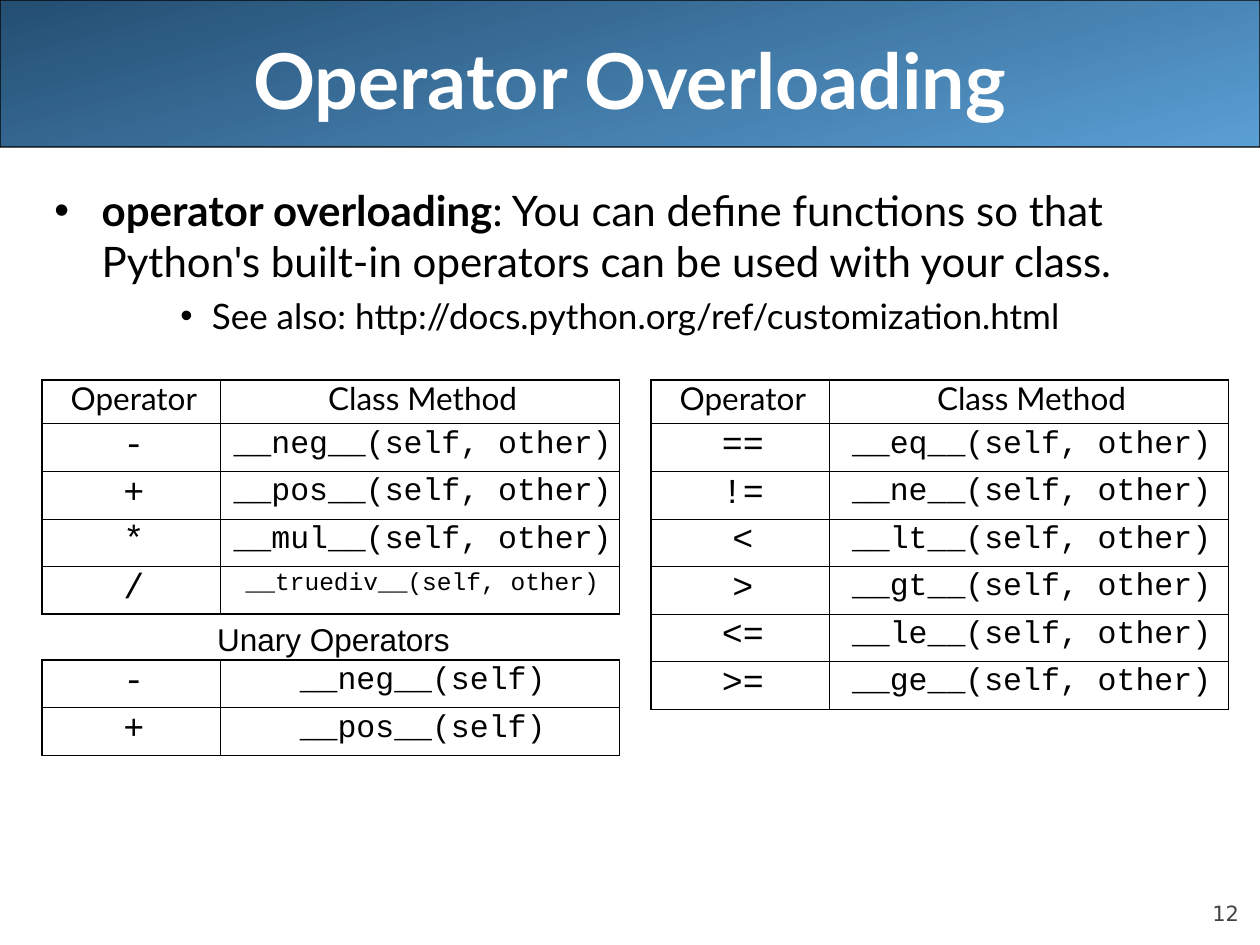
from lxml.etree import SubElement
from pptx import Presentation
from pptx.dml.color import RGBColor
from pptx.enum.shapes import MSO_SHAPE
from pptx.enum.text import MSO_ANCHOR, MSO_AUTO_SIZE, PP_ALIGN
from pptx.oxml.ns import qn
from pptx.util import Pt

BLACK = RGBColor(0x00, 0x00, 0x00)
WHITE = RGBColor(0xFF, 0xFF, 0xFF)
GREY = RGBColor(0x42, 0x42, 0x42)
NAVY = RGBColor(0x24, 0x4E, 0x72)
SKY = RGBColor(0x5A, 0x9F, 0xD4)
HEAVY, THIN = 1.08, 0.45


def write(paragraph, text, size=18, font="Lato", color=BLACK, bold=False, align=None, before=0):
    run = paragraph.add_run()
    run.text = text
    run.font.size = Pt(size)
    run.font.name = font
    run.font.bold = bold
    run.font.color.rgb = color
    paragraph.alignment = align
    paragraph.space_before = Pt(before)


def set_borders(cell, widths):
    """Draw black borders; widths run left, right, top, bottom."""
    properties = cell._tc.get_or_add_tcPr()
    for side, width in zip(("lnL", "lnR", "lnT", "lnB"), widths):
        line = SubElement(properties, qn(f"a:{side}"), w=str(Pt(width)))
        fill = SubElement(line, qn("a:solidFill"))
        SubElement(fill, qn("a:srgbClr"), val=str(BLACK))


prs = Presentation()
prs.slide_width, prs.slide_height = Pt(720), Pt(540)
slide = prs.slides.add_slide(prs.slide_layouts[5])

# Title on its gradient banner
title = slide.shapes.title
title.left, title.top, title.width, title.height = Pt(36), Pt(0), Pt(648), Pt(90)
title.text_frame.auto_size = MSO_AUTO_SIZE.NONE
title.text_frame.vertical_anchor = MSO_ANCHOR.MIDDLE
write(title.text_frame.paragraphs[0], "Operator Overloading", size=44, color=WHITE,
      bold=True, align=PP_ALIGN.CENTER)

banner = slide.shapes.add_shape(MSO_SHAPE.ROUNDED_RECTANGLE, Pt(0), Pt(0), Pt(720), Pt(84))
banner.adjustments[0] = 0.001
banner.shadow.inherit = False
banner.fill.gradient()
banner.fill.gradient_angle = 285
for stop, color in zip(banner.fill.gradient_stops, (NAVY, SKY)):
    stop.color.rgb = color
banner.line.color.rgb = BLACK
banner.line.width = Pt(0.75)
title.element.addprevious(banner.element)

# Definition and reference
body = slide.shapes.add_textbox(Pt(24), Pt(102), Pt(684), Pt(390)).text_frame
body.word_wrap = True
definition = body.paragraphs[0]
write(definition, "operator overloading", size=24, bold=True, before=6)
write(definition, ": You can define functions so that Python's built-in operators "
      "can be used with your class.", size=24, before=6)
reference = body.add_paragraph()
reference.level = 2
write(reference, "See also: http://docs.python.org/ref/customization.html", size=20, before=5)
for paragraph, margin, hanging in ((definition, 27, 27), (reference, 90, 18)):
    properties = paragraph._p.get_or_add_pPr()
    properties.set("marL", str(Pt(margin)))
    properties.set("indent", str(Pt(-hanging)))
    SubElement(properties, qn("a:buFont"), typeface="Arial")
    SubElement(properties, qn("a:buChar"), char="•")

# Operator tables: left, top, has heading row, bottom border, fill, rows
HEADING = ("Operator", "Class Method")
binary = [HEADING, ("-", "__neg__(self, other)"), ("+", "__pos__(self, other)"),
          ("*", "__mul__(self, other)"), ("/", "__truediv__(self, other)")]
unary = [("-", "__neg__(self)"), ("+", "__pos__(self)")]
comparison = [HEADING, ("==", "__eq__(self, other)"), ("!=", "__ne__(self, other)"),
              ("<", "__lt__(self, other)"), (">", "__gt__(self, other)"),
              ("<=", "__le__(self, other)"), (">=", "__ge__(self, other)")]

for left, top, bottom_width, fill, rows in (
    (24, 217, HEAVY, None, binary),
    (24, 377.3, THIN, WHITE, unary),
    (372, 217, THIN, None, comparison),
):
    heights = [25.2 if row == HEADING else 27.2 for row in rows]
    table = slide.shapes.add_table(len(rows), 2, Pt(left), Pt(top), Pt(330), Pt(sum(heights))).table
    table.first_row = table.horz_banding = False
    table.columns[0].width, table.columns[1].width = Pt(102), Pt(228)
    for r, row in enumerate(rows):
        table.rows[r].height = Pt(heights[r])
        for c, text in enumerate(row):
            cell = table.cell(r, c)
            cell.margin_left = cell.margin_right = Pt(4.5)
            cell.margin_top = cell.margin_bottom = Pt(3.6)
            set_borders(cell, (THIN if c else HEAVY, THIN, THIN if r else HEAVY,
                               bottom_width if r == len(rows) - 1 else THIN))
            if fill is None:
                cell.fill.background()
            else:
                cell.fill.solid()
                cell.fill.fore_color.rgb = fill
            paragraph = cell.text_frame.paragraphs[0]
            paragraph.line_spacing = 0.8
            paragraph._p.get_or_add_pPr().set("marL", str(Pt(3)))
            if row == HEADING:
                size, font = 18, "Lato"
            else:
                size, font = 20 if c == 0 else 14 if len(text) > 20 else 18, "Courier New"
            write(paragraph, text, size=size, font=font, align=PP_ALIGN.CENTER)

unary_caption = slide.shapes.add_textbox(Pt(116.6), Pt(350.6), Pt(147.6), Pt(29)).text_frame
unary_caption.word_wrap = False
unary_caption.auto_size = MSO_AUTO_SIZE.SHAPE_TO_FIT_TEXT
write(unary_caption.paragraphs[0], "Unary Operators", font="Arial", align=PP_ALIGN.RIGHT)

# Slide number
page_number = slide.shapes.add_textbox(Pt(648), Pt(500.4), Pt(60), Pt(28.8)).text_frame
page_number.margin_left = page_number.margin_right = Pt(0)
page_number.margin_top = page_number.margin_bottom = Pt(0)
page_number.vertical_anchor = MSO_ANCHOR.BOTTOM
page_number.word_wrap = True
write(page_number.paragraphs[0], "12", size=12, font="DejaVu Sans", color=GREY,
      align=PP_ALIGN.RIGHT, before=5)

prs.save("out.pptx")
